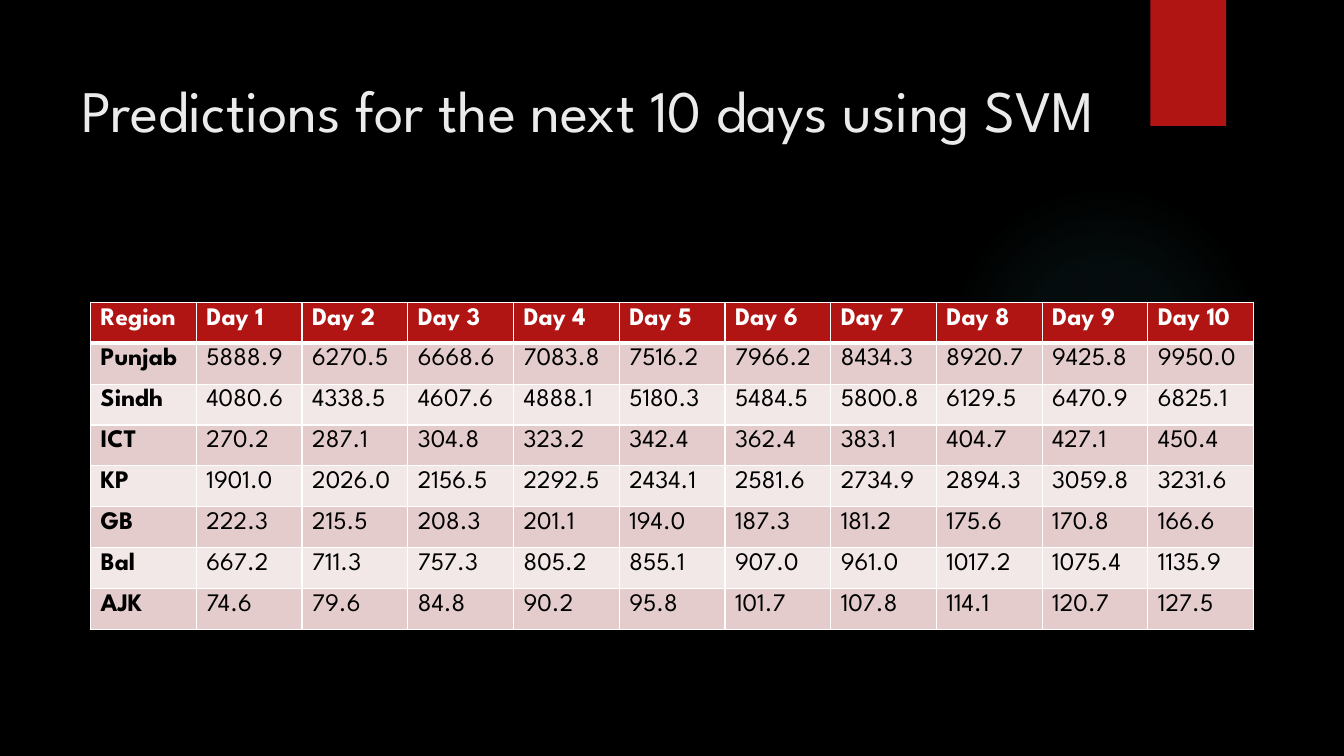
"""Build the slide with ten-day SVM predictions by region."""
from pptx import Presentation
from pptx.dml.color import RGBColor
from pptx.enum.shapes import MSO_SHAPE as Shape
from pptx.enum.text import MSO_ANCHOR as Anchor, PP_ALIGN as Align
from pptx.oxml import parse_xml
from pptx.oxml.ns import nsdecls
from pptx.util import Pt

REGIONS = {
    "Punjab": "5888.9 6270.5 6668.6 7083.8 7516.2 7966.2 8434.3 8920.7 9425.8 9950.0",
    "Sindh": "4080.6 4338.5 4607.6 4888.1 5180.3 5484.5 5800.8 6129.5 6470.9 6825.1",
    "ICT": "270.2 287.1 304.8 323.2 342.4 362.4 383.1 404.7 427.1 450.4",
    "KP": "1901.0 2026.0 2156.5 2292.5 2434.1 2581.6 2734.9 2894.3 3059.8 3231.6",
    "GB": "222.3 215.5 208.3 201.1 194.0 187.3 181.2 175.6 170.8 166.6",
    "Bal": "667.2 711.3 757.3 805.2 855.1 907.0 961.0 1017.2 1075.4 1135.9",
    "AJK": "74.6 79.6 84.8 90.2 95.8 101.7 107.8 114.1 120.7 127.5",
}


def rgb(color):
    return RGBColor.from_string(color)


class Deck:
    font = "League Spartan"
    black, white, red, pale = "000000", "FFFFFF", "B01513", "EBEBEB"
    bands = ("E4CCCC", "F2E8E7")

    def __init__(self, width, height):
        self.prs = Presentation()
        self.prs.slide_width, self.prs.slide_height = Pt(width), Pt(height)
        self.s = self.prs.slides.add_slide(self.prs.slide_layouts[5])
        fill = self.s.background.fill
        fill.solid()
        fill.fore_color.rgb = rgb(self.black)

    def style(self, p, size, color, bold=False):
        p.alignment = Align.LEFT
        p.font.name, p.font.size, p.font.bold = self.font, Pt(size), bold
        p.font.color.rgb = rgb(color)

    def title(self, text, x, y, w, h):
        sp = self.s.shapes.title
        sp.left, sp.top, sp.width, sp.height = Pt(x), Pt(y), Pt(w), Pt(h)
        tf = sp.text_frame
        tf.text, tf.word_wrap = text, True
        tf.vertical_anchor, tf.margin_top = Anchor.TOP, Pt(16.5)
        self.style(tf.paragraphs[0], 42, self.pale)

    def shape(self, kind, x, y, w, h, color):
        sp = self.s.shapes.add_shape(kind, Pt(x), Pt(y), Pt(w), Pt(h))
        sp.shadow.inherit = False
        sp.line.fill.background()
        sp.fill.solid()
        sp.fill.fore_color.rgb = rgb(color)
        return sp

    def glow(self, x, y, size, color, stops):
        sp = self.shape(Shape.OVAL, x, y, size, size, color)
        marks = "".join(
            f'<a:gs pos="{pos * 1000}"><a:srgbClr val="{color}">'
            f'<a:alpha val="{alpha * 1000}"/></a:srgbClr></a:gs>'
            for pos, alpha in stops)
        grad = parse_xml(
            f'<a:gradFill {nsdecls("a")}><a:gsLst>{marks}</a:gsLst><a:path path="circle">'
            '<a:fillToRect l="50000" t="50000" r="50000" b="50000"/></a:path></a:gradFill>')
        pr = sp.element.spPr
        pr.replace(pr.find("{*}solidFill"), grad)

    def borders(self, cell, top, bottom):
        pr = cell._tc.get_or_add_tcPr()
        for side, width in zip("LRTB", (1, 1, top, bottom)):
            pr.append(parse_xml(
                f'<a:ln{side} {nsdecls("a")} w="{Pt(width)}"><a:solidFill>'
                f'<a:srgbClr val="{self.white}"/></a:solidFill></a:ln{side}>'))

    def table(self, rows, x, y, w, h):
        n, m = len(rows), len(rows[0])
        table = self.s.shapes.add_table(n, m, Pt(x), Pt(y), Pt(w), Pt(h)).table
        for col in table.columns:
            col.width = Pt(w / m)
        for i, row in enumerate(rows):
            table.rows[i].height = Pt(h / n)
            for j, text in enumerate(row):
                cell = table.cell(i, j)
                cell.text = text
                self.borders(cell, 3 if i == 1 else 1, 3 if i == 0 else 1)
                cell.fill.solid()
                cell.fill.fore_color.rgb = rgb(self.bands[(i - 1) % 2] if i else self.red)
                self.style(cell.text_frame.paragraphs[0], 18,
                           self.black if i else self.white, i == 0 or j == 0)


def main():
    deck = Deck(960, 540)
    deck.glow(677.5, 131.75, 221.75, "50B9C1", [(0, 7), (36, 6), (69, 0)])
    deck.shape(Shape.RECTANGLE, 821.75, 0, 54, 90, deck.red)
    deck.title("Predictions for the next 10 days using SVM", 51, 36, 741, 110)
    header = ["Region"] + [f"Day {day}" for day in range(1, 11)]
    rows = [[region] + values.split() for region, values in REGIONS.items()]
    deck.table([header] + rows, 64.75, 216, 830.9, 233.6)
    deck.prs.save("out.pptx")


if __name__ == "__main__":
    main()
